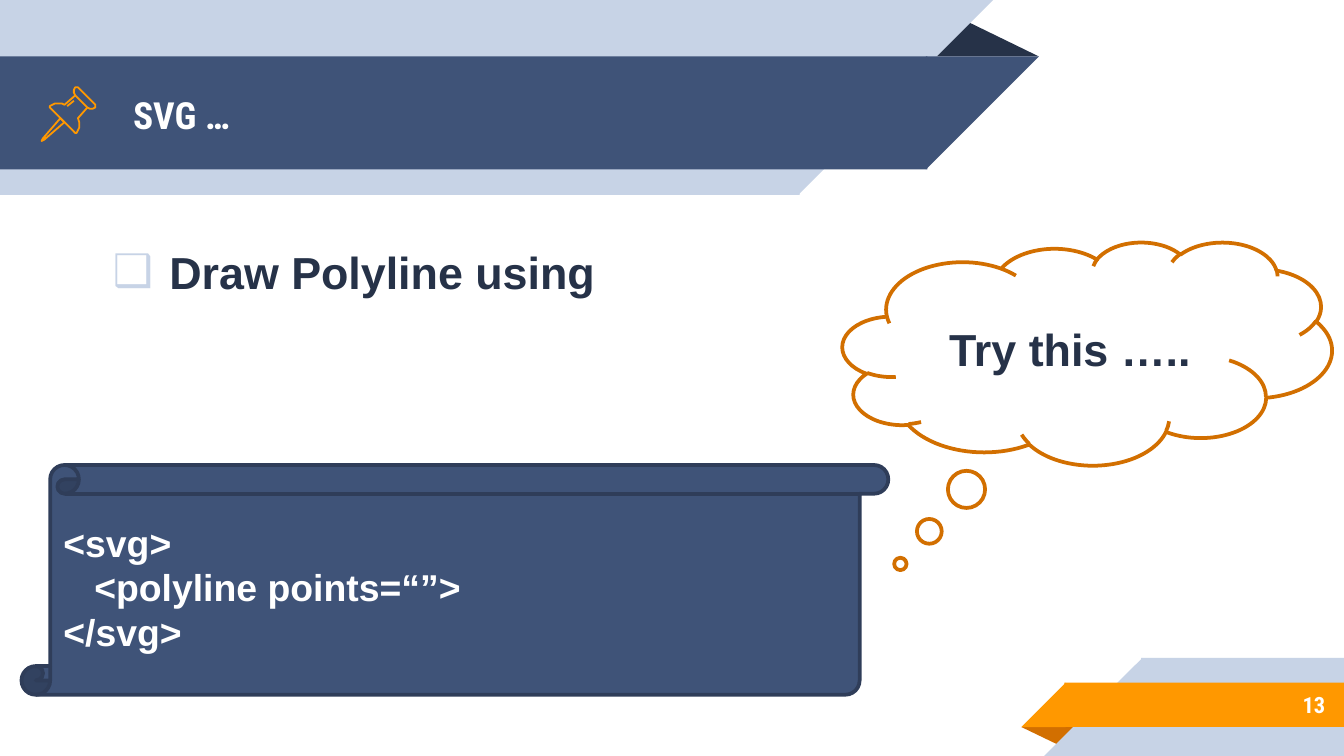
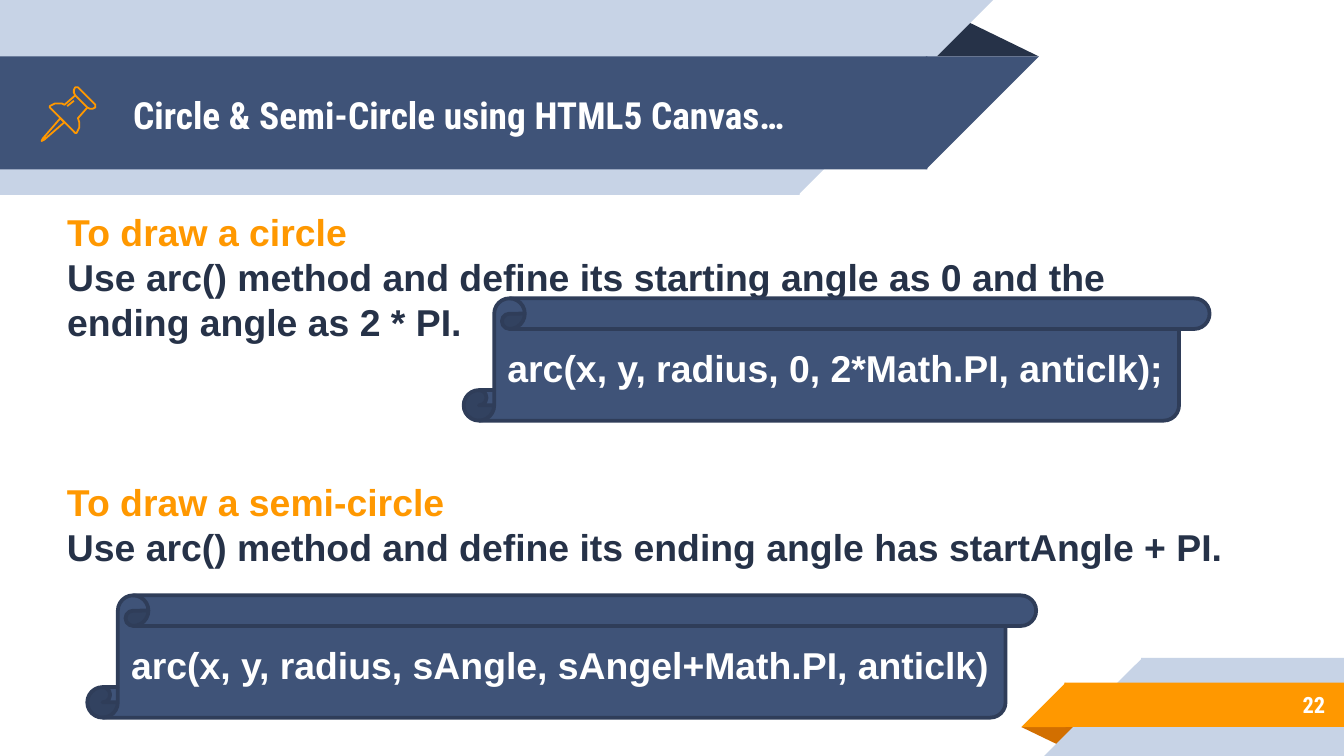
from dataclasses import dataclass

from lxml.etree import SubElement
from pptx import Presentation
from pptx.dml.color import RGBColor
from pptx.enum.shapes import MSO_SHAPE
from pptx.enum.text import MSO_ANCHOR, MSO_AUTO_SIZE, PP_ALIGN
from pptx.oxml.ns import qn
from pptx.util import Inches, Pt


@dataclass(frozen=True)
class Theme:
    navy: str = "3F5378"
    navy_edge: str = "2F3D59"
    ink: str = "263248"
    pale: str = "C7D3E6"
    orange: str = "FF9800"
    rust: str = "D26F00"
    white: str = "FFFFFF"
    heading_font: str = "Roboto Condensed"
    text_font: str = "Arial"
    large: int = 24
    normal: int = 20
    small: int = 12
    edge: float = 2
    pin_line: float = 0.96


THEME = Theme()
WIDTH = 10
HEIGHT = WIDTH * 9 / 16
SEAM = 0.01
HEADER_TOP, HEADER_HEIGHT, HEADER_WIDTH = 0.42, 0.84, 6.89
FOOTER_TOP, FOOTER_HEIGHT, FOOTER_LEFT = 5.08, 0.33, 7.6
BACK_HEADER_WIDTH, BACK_HEADER_HEIGHT = 5.94, 1.45
BACK_FOOTER_LEFT, BACK_FOOTER_HEIGHT = 7.77, 0.73
TITLE_BOX = (0.89, 0.43, 6.01, 0.84)
NUMBER_BOX = (8.33, 5.07, 1.63, 0.35)
TEXT_INDENT, BULLET_INDENT, BULLET_HANG, CODE_INDENT = 0.58, 1, 0.42, 0.23

# Pushpin outlines in hundredths of an inch: (points, closed)
PIN = [
    ([(45, 88), (32, 103), (31, 105), (33, 104), (48, 91)], True),
    ([(56, 71), (65, 80), (67, 81), (69, 81), (71, 80), (71, 78),
      (58, 65), (57, 65), (56, 65), (55, 67), (55, 69)], True),
    ([(56, 71), (48, 78), (46, 77), (44, 77), (41, 77), (39, 78), (37, 79),
      (37, 80), (38, 81), (55, 98), (56, 99), (57, 99), (58, 97), (59, 95),
      (59, 93), (59, 91), (58, 88), (65, 80)], False),
    ([(50, 79), (55, 75)], False),
]

# A line of text is (words, kind); kinds are defined in LINE_STYLES.
SLIDES = [
    {
        "title": "SVG …",
        "number": "13",
        "body": ((0.16, 0.98, 10.01, 2.08), [("Draw Polyline using", "bullet")]),
        "scrolls": [
            ((0.16, 3.46, 6.45, 1.71), 0.125,
             [("<svg>", "code"),
              ("<polyline points=“”>", "nested code"),
              ("</svg>", "code")]),
        ],
        "cloud": ((6.27, 1.8, 3.64, 1.66), (-0.382, 0.944),
                  [("Try this …..", "thought")]),
    },
    {
        "title": "Circle & Semi-Circle using HTML5 Canvas…",
        "number": "22",
        "body": ((-0.18, 1.55, 10.01, 1.02),
                 [("To draw a circle", "heading"),
                  ("Use arc() method and define its starting angle as 0 and the", "text"),
                  ("ending angle as 2 * PI.", "text")]),
        "note": ((-0.18, 3.57, 9.51, 0.66),
                 [("To draw a semi-circle", "heading"),
                  ("Use arc() method and define its ending angle has startAngle + PI.", "text")]),
        "scrolls": [
            ((3.45, 2.22, 5.55, 0.91), 0.25,
             [("arc(x, y, radius, 0, 2*Math.PI, anticlk);", "code")]),
            ((0.65, 4.43, 7.06, 0.91), 0.25,
             [("arc(x, y, radius, sAngle, sAngel+Math.PI, anticlk)", "code")]),
        ],
    },
]

# kind: (font, size, colour, alignment, level, left margin, first-line indent)
LINE_STYLES = {
    "title": (THEME.heading_font, THEME.normal, THEME.white, PP_ALIGN.LEFT, 0, 0, 0),
    "number": (THEME.heading_font, THEME.small, THEME.white, PP_ALIGN.RIGHT, 0, 0, 0),
    "bullet": (THEME.text_font, THEME.large, THEME.ink, PP_ALIGN.LEFT, 1,
               BULLET_INDENT, -BULLET_HANG),
    "heading": (THEME.text_font, THEME.normal, THEME.orange, PP_ALIGN.LEFT, 1, TEXT_INDENT, 0),
    "text": (THEME.text_font, THEME.normal, THEME.ink, PP_ALIGN.LEFT, 1, TEXT_INDENT, 0),
    "code": (THEME.text_font, THEME.normal, THEME.white, PP_ALIGN.LEFT, 0, 0, 0),
    "nested code": (THEME.text_font, THEME.normal, THEME.white, PP_ALIGN.LEFT, 0, CODE_INDENT, 0),
    "thought": (THEME.text_font, THEME.large, THEME.ink, PP_ALIGN.CENTER, 0, 0, 0),
}


def place(shape, box):
    shape.left, shape.top, shape.width, shape.height = map(Inches, box)


def set_bullet(properties, kind):
    if kind != "bullet":
        SubElement(properties, qn("a:buNone"))
        return
    colour = SubElement(properties, qn("a:buClr"))
    SubElement(colour, qn("a:srgbClr")).set("val", THEME.pale)
    SubElement(properties, qn("a:buChar")).set("char", "❑")


def write(shape, lines, inset=None):
    """Fill a shape with styled lines, centred vertically."""
    frame = shape.text_frame
    frame.word_wrap = True
    frame.auto_size = MSO_AUTO_SIZE.NONE
    frame.vertical_anchor = MSO_ANCHOR.MIDDLE
    if inset is not None:
        frame.margin_left = frame.margin_right = Inches(inset)
        frame.margin_top = frame.margin_bottom = Inches(inset)
    for index, (words, kind) in enumerate(lines):
        font, size, colour, alignment, level, margin, indent = LINE_STYLES[kind]
        paragraph = frame.add_paragraph() if index else frame.paragraphs[0]
        paragraph.text = words
        paragraph.alignment = alignment
        paragraph.level = level
        paragraph.space_before = paragraph.space_after = Pt(0)
        paragraph.line_spacing = 1.0
        properties = paragraph._p.get_or_add_pPr()
        properties.set("marL", str(Inches(margin)))
        properties.set("indent", str(Inches(indent)))
        set_bullet(properties, kind)
        paragraph.font.name = font
        paragraph.font.size = Pt(size)
        paragraph.font.bold = True
        paragraph.font.color.rgb = RGBColor.from_string(colour)


def add_shape(shapes, preset, box, fill, edge=None, adjustments=(), rotation=0):
    shape = shapes.add_shape(preset, *map(Inches, box))
    shape.shadow.inherit = False
    shape.rotation = rotation
    for index, value in enumerate(adjustments):
        shape.adjustments[index] = value
    shape.fill.solid()
    shape.fill.fore_color.rgb = RGBColor.from_string(fill)
    if edge:
        shape.line.color.rgb = RGBColor.from_string(edge)
        shape.line.width = Pt(THEME.edge)
    else:
        shape.line.fill.background()
    return shape


def add_header_band(shapes, top, width, height, fill):
    """Band from the left edge, with a slanted right end."""
    add_shape(shapes, MSO_SHAPE.RECTANGLE, (0, top, width + SEAM, height), fill)
    add_shape(shapes, MSO_SHAPE.RIGHT_TRIANGLE, (width, top, height, height), fill, rotation=90)


def add_footer_band(shapes, left, top, height, fill):
    """Band to the right edge, with a slanted left end."""
    start = left + height
    add_shape(shapes, MSO_SHAPE.RECTANGLE,
              (start - SEAM, top, WIDTH - start + SEAM, height), fill)
    add_shape(shapes, MSO_SHAPE.RIGHT_TRIANGLE, (left, top, height, height), fill, rotation=270)


def add_fold(shapes, box, fill, rotation=0):
    add_shape(shapes, MSO_SHAPE.ISOSCELES_TRIANGLE, box, fill,
              adjustments=[0.324], rotation=rotation)


def decorate_layout(layout, slide):
    """Draw the shared bands on a slide, then move them behind the layout's placeholders."""
    for placeholder in list(layout.placeholders):
        if placeholder.placeholder_format.idx >= 10:
            layout.placeholders.element.remove(placeholder.element)
    shapes = slide.shapes
    first_band = len(shapes)
    add_fold(shapes, (FOOTER_LEFT, FOOTER_TOP + FOOTER_HEIGHT, 0.43, 0.14), THEME.rust, 180)
    add_footer_band(shapes, BACK_FOOTER_LEFT, HEIGHT - BACK_FOOTER_HEIGHT,
                    BACK_FOOTER_HEIGHT, THEME.pale)
    add_footer_band(shapes, FOOTER_LEFT, FOOTER_TOP, FOOTER_HEIGHT, THEME.orange)
    add_fold(shapes, (6.88, HEADER_TOP - 0.28, 0.85, 0.28), THEME.ink)
    add_header_band(shapes, 0, BACK_HEADER_WIDTH, BACK_HEADER_HEIGHT, THEME.pale)
    add_header_band(shapes, HEADER_TOP, HEADER_WIDTH, HEADER_HEIGHT, THEME.navy)
    for index, band in enumerate(list(shapes)[first_band:]):
        layout.shapes.element.insert(2 + index, band.element)


def add_pin(shapes):
    pin = shapes.add_group_shape()
    for points, closed in PIN:
        builder = pin.shapes.build_freeform(*points[0], scale=Inches(0.01))
        builder.add_line_segments(points[1:], close=closed)
        outline = builder.convert_to_shape()
        outline.shadow.inherit = False
        outline.fill.background()
        outline.line.color.rgb = RGBColor.from_string(THEME.orange)
        outline.line.width = Pt(THEME.pin_line)


def add_text(shapes, box, lines):
    write(shapes.add_textbox(*map(Inches, box)), lines, inset=0.1)


def fill_slide(slide, content):
    shapes = slide.shapes
    place(shapes.title, TITLE_BOX)
    write(shapes.title, [(content["title"], "title")], inset=0.1)
    body_box, body_lines = content["body"]
    body = slide.placeholders[1]
    place(body, body_box)
    write(body, body_lines, inset=0.1)
    add_text(shapes, NUMBER_BOX, [(content["number"], "number")])
    add_pin(shapes)
    if "note" in content:
        add_text(shapes, *content["note"])
    for box, curl, lines in content["scrolls"]:
        write(add_shape(shapes, MSO_SHAPE.VERTICAL_SCROLL, box, THEME.navy,
                        THEME.navy_edge, [curl]), lines)
    if "cloud" in content:
        box, tail, lines = content["cloud"]
        write(add_shape(shapes, MSO_SHAPE.CLOUD_CALLOUT, box, THEME.white,
                        THEME.rust, tail), lines)


def main():
    deck = Presentation()
    deck.slide_width, deck.slide_height = Inches(WIDTH), Inches(HEIGHT)
    layout = deck.slide_layouts[1]
    slides = [deck.slides.add_slide(layout) for _ in SLIDES]
    decorate_layout(layout, slides[0])
    for slide, content in zip(slides, SLIDES):
        fill_slide(slide, content)
    deck.save("out.pptx")


if __name__ == "__main__":
    main()
